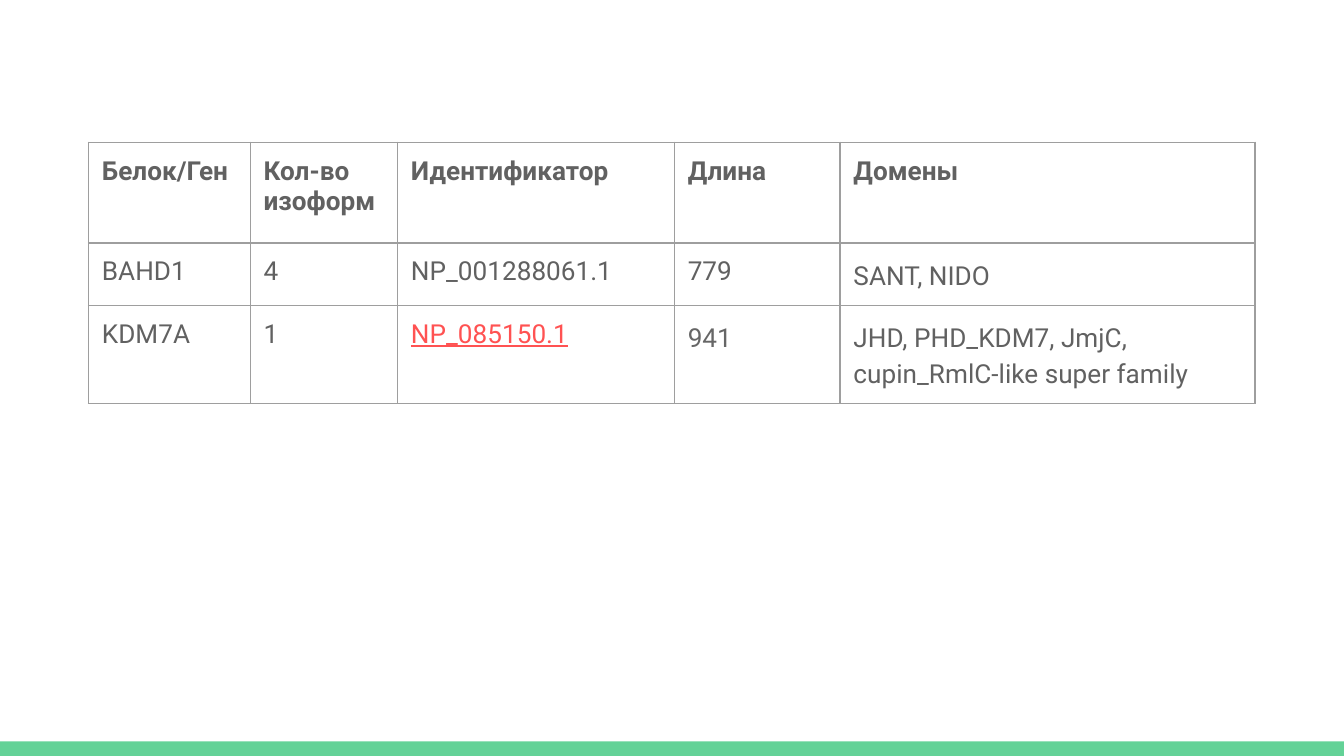
from lxml.etree import SubElement
from pptx import Presentation
from pptx.dml.color import RGBColor
from pptx.enum.shapes import MSO_SHAPE as Shape
from pptx.oxml import parse_xml
from pptx.oxml.ns import nsdecls, qn
from pptx.util import Pt

HEADERS = ["Белок/Ген", "Кол-во изоформ", "Идентификатор", "Длина", "Домены"]
PROTEINS = [
    ["BAHD1", "4", "NP_001288061.1", "779", "SANT, NIDO"],
    ["KDM7A", "1", "NP_085150.1", "941",
     "JHD, PHD_KDM7, JmjC, cupin_RmlC-like super family"],
]
FORMATS = {
    "NP_085150.1": dict(color="FF5252", underline=True),
    "941": dict(color="666666", line_spacing=1.15),
    **{protein[-1]: dict(line_spacing=1.15, space_after=12) for protein in PROTEINS},
}
COLUMN_WIDTHS = [86.6, 79, 148.3, 88.8, 222.3]
ROW_HEIGHTS = [54, 30, 30]
TABLE_LEFT, TABLE_TOP = 47.4, 76.2
SLIDE_WIDTH, SLIDE_HEIGHT, FOOTER_HEIGHT = 720, 405, 7.8
MARGIN = 7.2
GREEN, GREY, BORDER = "63D297", "616161", "9E9E9E"


def rgb(value):
    return RGBColor.from_string(value)


def write(frame, text, color=GREY, bold=False, underline=None,
          line_spacing=None, space_after=None):
    paragraph = frame.paragraphs[0]
    if line_spacing:
        paragraph.line_spacing = line_spacing
    if space_after:
        paragraph.space_after = Pt(space_after)
    run = paragraph.add_run()
    run.text = text
    font = run.font
    font.name, font.size = "Roboto", Pt(14)
    font.bold, font.underline = bold, underline
    font.color.rgb = rgb(color)


def outline(cell, color, width):
    properties = cell._tc.get_or_add_tcPr()
    for position, side in enumerate(["lnL", "lnR", "lnT", "lnB"]):
        line = parse_xml(f'<a:{side} {nsdecls("a")} w="{Pt(width)}"/>')
        fill = SubElement(line, qn("a:solidFill"))
        SubElement(fill, qn("a:srgbClr"), val=color)
        properties.insert(position, line)


deck = Presentation()
deck.slide_width, deck.slide_height = Pt(SLIDE_WIDTH), Pt(SLIDE_HEIGHT)
slide = deck.slides.add_slide(deck.slide_layouts[6])

footer = slide.shapes.add_shape(
    Shape.RECTANGLE, 0, Pt(SLIDE_HEIGHT - FOOTER_HEIGHT),
    Pt(SLIDE_WIDTH), Pt(FOOTER_HEIGHT))
footer.shadow.inherit = False
footer.fill.solid()
footer.fill.fore_color.rgb = rgb(GREEN)
footer.line.fill.background()

proteins = slide.shapes.add_table(
    len(ROW_HEIGHTS), len(COLUMN_WIDTHS), Pt(TABLE_LEFT), Pt(TABLE_TOP),
    Pt(sum(COLUMN_WIDTHS)), Pt(sum(ROW_HEIGHTS))).table
proteins.first_row = proteins.horz_banding = False
for column, width in zip(proteins.columns, COLUMN_WIDTHS):
    column.width = Pt(width)
for row, height in zip(proteins.rows, ROW_HEIGHTS):
    row.height = Pt(height)

for r, values in enumerate([HEADERS, *PROTEINS]):
    for c, value in enumerate(values):
        cell = proteins.cell(r, c)
        cell.margin_left = cell.margin_right = Pt(MARGIN)
        cell.margin_top = cell.margin_bottom = Pt(MARGIN)
        cell.fill.background()
        outline(cell, BORDER, 0.75)
        write(cell.text_frame, value, bold=r == 0, **FORMATS.get(value, {}))

deck.save("out.pptx")
